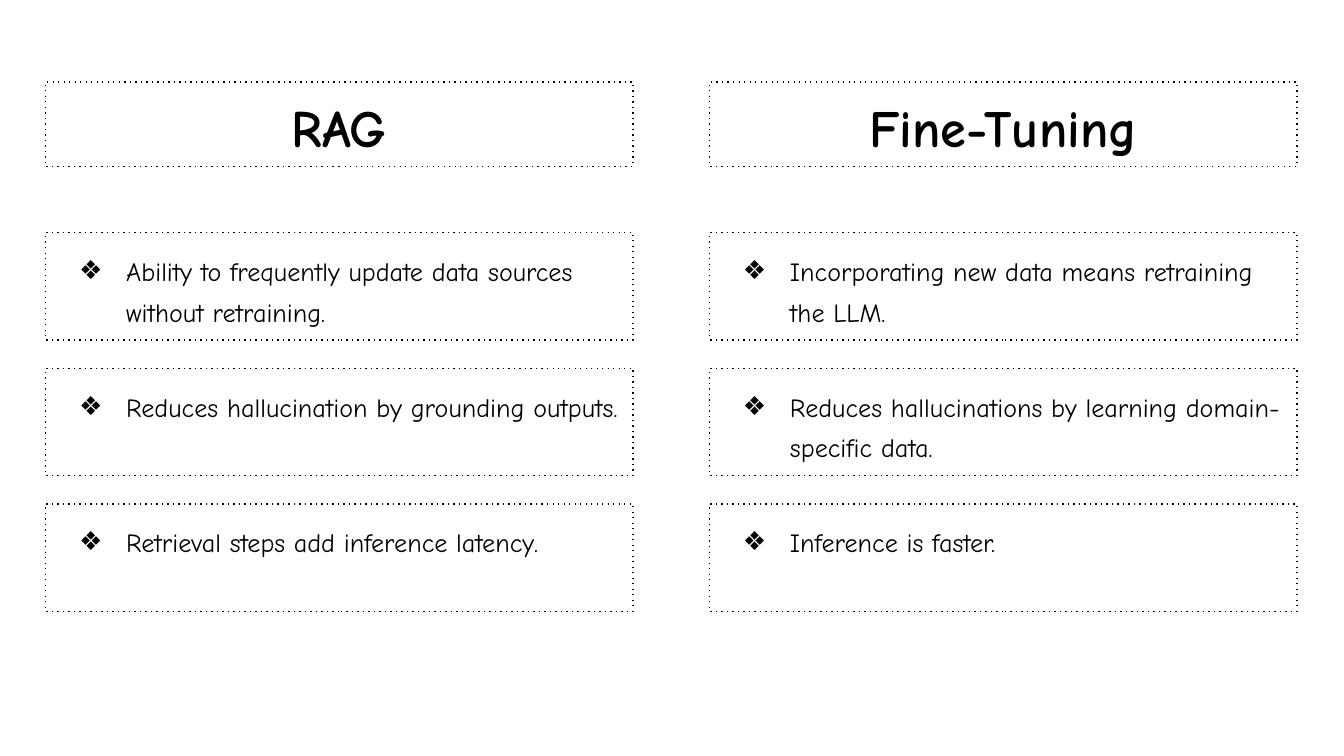
from lxml import etree
from pptx import Presentation
from pptx import util as u
from pptx.dml.color import RGBColor
from pptx.enum import shapes, text
from pptx.oxml import ns

BLACK = RGBColor(0x00, 0x00, 0x00)
WIDTH = 4.37
COLUMN_LEFTS = (0.34, 5.28)
TITLE_TOP, TITLE_HEIGHT = 0.61, 0.63
ROW_TOP, ROW_HEIGHT, ROW_STEP = 1.73, 0.8, 1.01

COLUMNS = {
    "RAG": (
        "Ability to frequently update data sources without retraining.",
        "Reduces hallucination by grounding outputs.",
        "Retrieval steps add inference latency.",
    ),
    "Fine-Tuning": (
        "Incorporating new data means retraining the LLM.",
        "Reduces hallucinations by learning domain-specific data.",
        "Inference is faster.",
    ),
}


class SlideBuilder:
    font_name = "Comic Neue"
    title_size = u.Pt(28)
    body_size = u.Pt(14)

    def __init__(self, slide):
        self.slide = slide

    def dotted_box(self, left, top, height, content, size):
        """Add an outlined box and return its paragraph."""
        shape = self.slide.shapes.add_shape(
            shapes.MSO_SHAPE.RECTANGLE,
            u.Inches(left), u.Inches(top), u.Inches(WIDTH), u.Inches(height))
        shape.shadow.inherit = False
        shape.fill.background()
        shape.line.color.rgb = BLACK
        shape.line.width = u.Pt(0.75)
        outline = shape.line._get_or_add_ln()
        etree.SubElement(outline, ns.qn("a:prstDash"), val="dot")

        frame = shape.text_frame
        frame.word_wrap = True
        frame.vertical_anchor = text.MSO_ANCHOR.TOP
        frame.margin_left = frame.margin_right = u.Inches(0.1)
        frame.margin_top = frame.margin_bottom = u.Inches(0.1)
        paragraph = frame.paragraphs[0]
        paragraph.text = content
        paragraph.font.name = self.font_name
        paragraph.font.size = size
        paragraph.font.color.rgb = BLACK
        return paragraph

    def title(self, left, content):
        paragraph = self.dotted_box(
            left, TITLE_TOP, TITLE_HEIGHT, content, self.title_size)
        paragraph.alignment = text.PP_ALIGN.CENTER
        paragraph.font.bold = True

    def bullet(self, left, top, content):
        paragraph = self.dotted_box(
            left, top, ROW_HEIGHT, content, self.body_size)
        paragraph.alignment = text.PP_ALIGN.LEFT
        paragraph.line_spacing = 1.3
        # Hanging bullet; its elements go before the default run properties
        properties = paragraph._p.get_or_add_pPr()
        properties.set("marL", str(u.Inches(0.5)))
        properties.set("indent", str(u.Inches(-0.35)))
        bullet_color = etree.Element(ns.qn("a:buClr"))
        etree.SubElement(bullet_color, ns.qn("a:srgbClr"), val=str(BLACK))
        bullet_font = etree.Element(ns.qn("a:buFont"), typeface=self.font_name)
        bullet_char = etree.Element(ns.qn("a:buChar"), char="❖")
        defaults = properties.find(ns.qn("a:defRPr"))
        for element in (bullet_color, bullet_font, bullet_char):
            defaults.addprevious(element)


def main():
    presentation = Presentation()
    presentation.slide_width = u.Inches(10)
    presentation.slide_height = u.Inches(10 * 9 / 16)
    slide = presentation.slides.add_slide(presentation.slide_layouts[6])
    builder = SlideBuilder(slide)

    # One column per approach: heading above its points
    for left, (heading, points) in zip(COLUMN_LEFTS, COLUMNS.items()):
        builder.title(left, heading)
        for row, point in enumerate(points):
            builder.bullet(left, ROW_TOP + row * ROW_STEP, point)

    presentation.save("out.pptx")


if __name__ == "__main__":
    main()
